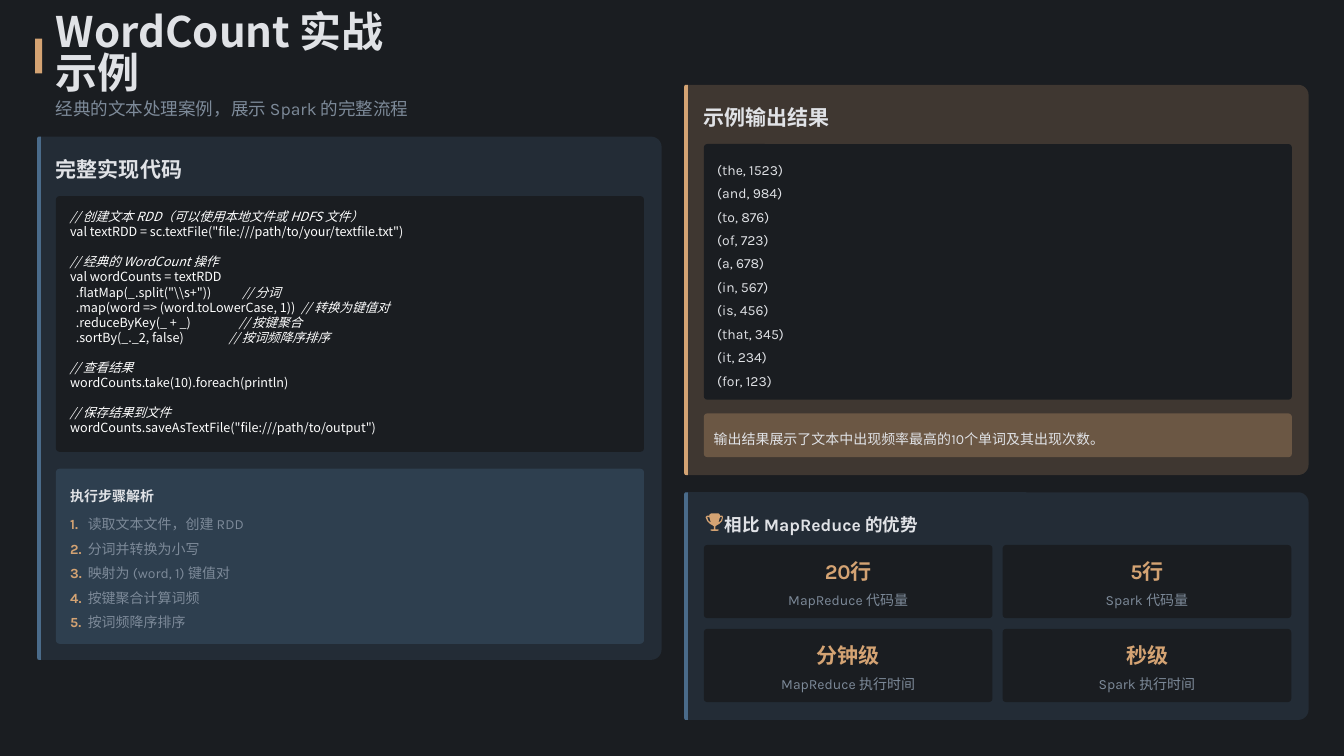
"""Build a slide that walks through the Spark WordCount example."""
from pptx import Presentation
from pptx import util as u
from pptx.dml.color import RGBColor
from pptx.enum import shapes, text
from pptx.oxml.ns import qn
from lxml import etree

DARK, BLUE, GOLD, WHITE, GREY = "1A1D21", "4A6B8A", "D4A373", "E0E2E6", "7D8A99"
KINDS = shapes.MSO_SHAPE
presentation = Presentation()
presentation.slide_width, presentation.slide_height = u.Cm(45.16), u.Cm(25.4)
slide = presentation.slides.add_slide(presentation.slide_layouts[5])
slide.background.fill.solid()
slide.background.fill.fore_color.rgb = RGBColor.from_string(DARK)


def draw(kind, left, top, width, height, color, radii=(), opacity=100):
    shape = slide.shapes.add_shape(kind, u.Cm(left), u.Cm(top), u.Cm(width), u.Cm(height))
    for index, radius in enumerate(radii):
        shape.adjustments[index] = min(radius / min(width, height), 0.5)
    shape.shadow.inherit = False
    shape.line.fill.background()
    shape.fill.solid()
    shape.fill.fore_color.rgb = RGBColor.from_string(color)
    if opacity < 100:
        tint = shape.fill._xPr.find(".//" + qn("a:srgbClr"))
        etree.SubElement(tint, qn("a:alpha")).set("val", str(opacity * 1000))
    return shape


def write(left, top, width, height, lines, size, color, bold=False, spacing=1.0,
          centred=False, font="Karla", shape=None):
    place = [u.Cm(value) for value in (left, top, width, height)]
    shape = shape or slide.shapes.add_textbox(*place)
    shape.left, shape.top, shape.width, shape.height = place
    frame = shape.text_frame
    frame.word_wrap = True
    frame.auto_size = text.MSO_AUTO_SIZE.NONE
    frame.vertical_anchor = text.MSO_ANCHOR.MIDDLE
    frame.margin_left = frame.margin_top = frame.margin_right = frame.margin_bottom = 0
    for index, line in enumerate(lines):
        paragraph = frame.add_paragraph() if index else frame.paragraphs[0]
        paragraph.line_spacing = spacing
        paragraph.alignment = text.PP_ALIGN.CENTER if centred else text.PP_ALIGN.LEFT
        plain, mark, comment = line.partition("// ")
        for content, italic in ((plain, False), (mark + comment, True)):
            if content:
                run = paragraph.add_run()
                run.text = content
                run.font.name, run.font.size = font, u.Pt(size)
                run.font.bold, run.font.italic = bold, italic
                run.font.color.rgb = RGBColor.from_string(color)
    return frame


draw(KINDS.RECTANGLE, 1.18, 1.3, 0.24, 1.17, GOLD)
write(1.88, 1.17, 11.13, 1.42, ["WordCount 实战示例"], 40, WHITE, True, 0.8,
      font="Noto Sans CJK SC", shape=slide.shapes.title)
write(1.88, 3.17, 42.39, 0.81, ["经典的文本处理案例，展示 Spark 的完整流程"], 16.7, GREY, spacing=1.2)

panel_width, bar_width = 20.98, 0.12
for left, top, height, color in ((1.25, 4.59, 17.58, BLUE), (22.99, 2.85, 13.11, GOLD),
                                 (22.99, 16.54, 7.65, BLUE)):
    for width, radii, opacity in ((panel_width, (0.35, 0.12), 20), (bar_width, (0, 0.12), 100)):
        shift = (width - height) / 2
        side = draw(KINDS.ROUND_2_SAME_RECTANGLE, left + shift, top - shift, height, width,
                    color, radii, opacity)
        side.rotation = 90

for left, top, heading in ((1.88, 5.18, "完整实现代码"), (23.65, 3.43, "示例输出结果")):
    write(left, top, 20.12, 0.94, [heading], 20, WHITE, True, 1.1)
    draw(KINDS.ROUNDED_RECTANGLE, left, top + 1.41, 19.76, 8.59, DARK, (0.12,))

code = [
    "// 创建文本 RDD（可以使用本地文件或 HDFS 文件）",
    'val textRDD = sc.textFile("file:///path/to/your/textfile.txt")',
    "// 经典的 WordCount 操作",
    "val wordCounts = textRDD",
    '  .flatMap(_.split("\\\\s+"))           // 分词',
    "  .map(word => (word.toLowerCase, 1))  // 转换为键值对",
    "  .reduceByKey(_ + _)                 // 按键聚合",
    "  .sortBy(_._2, false)                // 按词频降序排序",
    "// 查看结果",
    "wordCounts.take(10).foreach(println)",
    "// 保存结果到文件",
    'wordCounts.saveAsTextFile("file:///path/to/output")',
]
code_frame = write(2.36, 6.71, 19.05, 8.23, code, 12, "FFFFFF", font="Noto Sans CJK SC")
for index in (2, 8, 10):
    code_frame.paragraphs[index].space_before = u.Pt(14.3)

draw(KINDS.ROUNDED_RECTANGLE, 1.88, 15.75, 19.76, 5.88, BLUE, (0.12,), 30)
write(2.36, 16.23, 19.05, 0.71, ["执行步骤解析"], 13.3, WHITE, True, 1.3)
steps = [("读取文本文件，创建 RDD", 5.6), ("分词并转换为小写", 4), ("映射为 (word, 1) 键值对", 5.2),
         ("按键聚合计算词频", 4), ("按词频降序排序", 3.6)]
for index, (step, width) in enumerate(steps):
    top = 17.17 + index * 0.825
    write(2.36, top, 0.6, 0.71, [f"{index + 1}."], 13.3, GOLD, True, 1.3)
    write(2.95, top, width, 0.71, [step], 13.3, GREY, spacing=1.3)

counts = {"the": 1523, "and": 984, "to": 876, "of": 723, "a": 678,
          "in": 567, "is": 456, "that": 345, "it": 234, "for": 123}
write(24.1, 5.41, 3.35, 7.44, [f"({word}, {count})" for word, count in counts.items()],
      13.3, WHITE, spacing=1.4)
draw(KINDS.ROUNDED_RECTANGLE, 23.65, 13.89, 19.76, 1.47, GOLD, (0.12,), 30)
write(23.98, 14.25, 19.28, 0.76, ["输出结果展示了文本中出现频率最高的10个单词及其出现次数。"],
      13.3, WHITE, spacing=1.4)

trophy = [
    [(7, 0), (17, 0), (19, 2), (19, 3), (22, 3), (23, 5), (22, 10), (18, 14), (16, 15), (13, 17),
     (13, 21), (16, 21), (18, 22), (16, 23), (8, 23), (6, 22), (8, 21), (11, 21), (11, 17),
     (8, 15), (6, 14), (2, 10), (0, 5), (2, 3), (5, 3), (5, 2)],
    [(5, 5), (2, 5), (4, 10), (7, 12)],
    [(17, 12), (20, 10), (22, 5), (19, 5)],
]
builder = slide.shapes.build_freeform(*trophy[0][0], scale=u.Cm(0.0254))
for index, outline in enumerate(trophy):
    if index:
        builder.move_to(*outline[0])
    builder.add_line_segments(outline[1:], close=True)
cup = builder.convert_to_shape(u.Cm(23.71), u.Cm(17.25))
cup.shadow.inherit = False
cup.line.fill.background()
cup.fill.solid()
cup.fill.fore_color.rgb = RGBColor.from_string(GOLD)
write(24.36, 17.15, 19.3, 0.81, ["相比 MapReduce 的优势"], 16.7, WHITE, True, 1.2)

cards = [("20行", "MapReduce 代码量"), ("5行", "Spark 代码量"),
         ("分钟级", "MapReduce 执行时间"), ("秒级", "Spark 执行时间")]
for index, (value, label) in enumerate(cards):
    row, column = divmod(index, 2)
    left, top = 23.65 + column * 10.04, 18.31 + row * 2.82
    draw(KINDS.ROUNDED_RECTANGLE, left, top, 9.7, 2.46, DARK, (0.12,))
    write(left + 0.18, top + 0.36, 9.35, 0.94, [value], 20, GOLD, True, 1.1, True)
    write(left + 0.24, top + 1.4, 9.22, 0.71, [label], 13.3, GREY, spacing=1.3, centred=True)

presentation.save("out.pptx")
